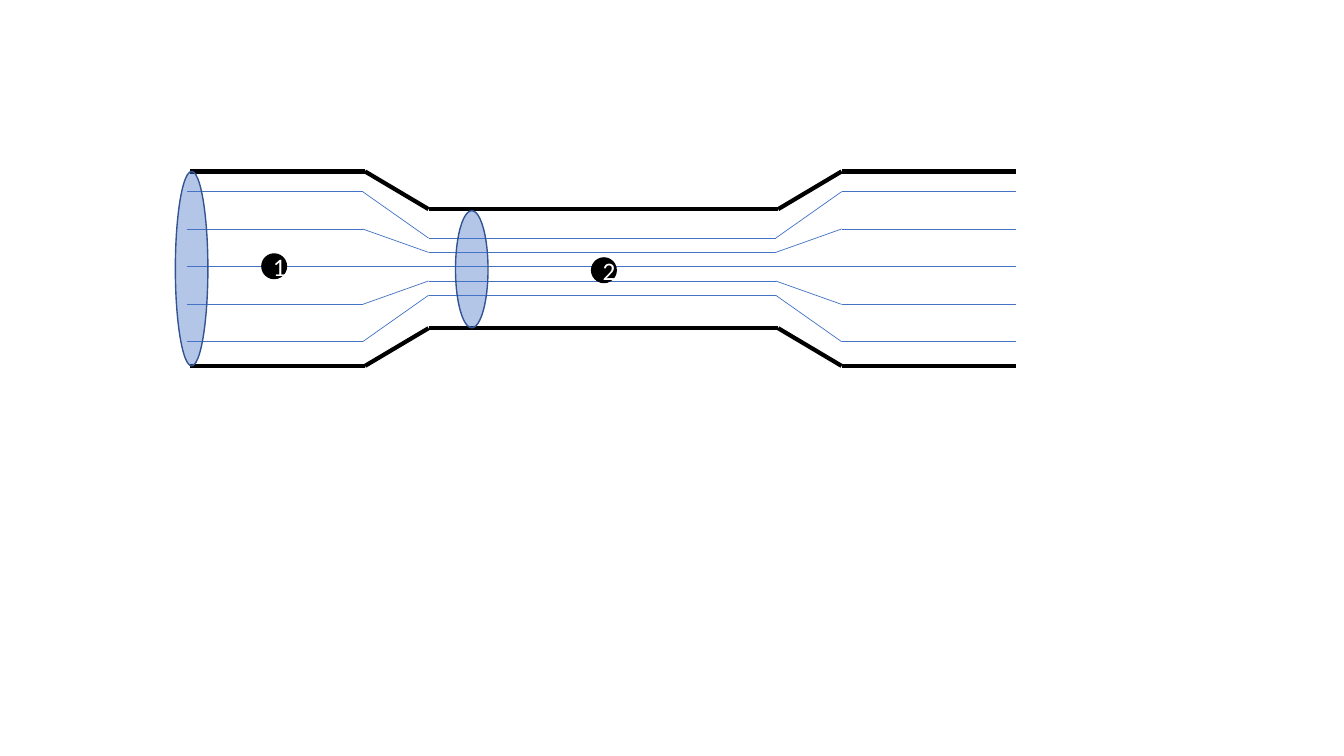
from itertools import pairwise

from lxml import etree
from pptx import Presentation
from pptx import util as u
from pptx.dml.color import RGBColor
from pptx.enum import shapes, text
from pptx.oxml.ns import qn

HUES = {"wall": "000000", "flow": "4472C4", "rim": "325491", "dot": "000000", "label": "FFFFFF"}


def hue(name):
    """Return the named colour."""
    return RGBColor.from_string(HUES[name])


def trace(slide, points, name, width):
    """Join the points, given in centimetres, with straight lines."""
    for start, end in pairwise(points):
        line = slide.shapes.add_connector(
            shapes.MSO_CONNECTOR.STRAIGHT, *(u.Cm(v) for v in (*start, *end)))
        line.line.color.rgb = hue(name)
        line.line.width = u.Pt(width)
        etree.SubElement(line._element.spPr, qn("a:effectLst"))


def oval(slide, left, top, width, height, fill, rim):
    """Add an ellipse, measured in centimetres."""
    shape = slide.shapes.add_shape(
        shapes.MSO_SHAPE.OVAL, *(u.Cm(v) for v in (left, top, width, height)))
    shape.shadow.inherit = False
    shape.fill.solid()
    shape.fill.fore_color.rgb = hue(fill)
    shape.line.color.rgb = hue(rim)
    shape.line.width = u.Pt(1)
    return shape


def disc(slide, left, top, height):
    """Add a see-through cross-section of the pipe."""
    shape = oval(slide, left, top, 0.82, height, "flow", "rim")
    tint = shape._element.spPr.find(qn("a:solidFill"))[0]
    etree.SubElement(tint, qn("a:alpha"), val="40000")


def mark(slide, left, top, label):
    """Add a numbered point."""
    frame = oval(slide, left, top, 0.62, 0.62, "dot", "dot").text_frame
    frame.vertical_anchor = text.MSO_ANCHOR.MIDDLE
    para = frame.paragraphs[0]
    para.text = label
    para.alignment = text.PP_ALIGN.CENTER
    para.font.size = u.Pt(18)
    para.font.name = "Calibri"
    para.font.color.rgb = hue("label")


def pipe(slide, left, top, width, height):
    """Draw a narrowing pipe with its streamlines, sections and points."""
    def course(mid, wide, slim, start, bend, neck):
        xs = (start, bend, neck, width - bend, width - neck)
        xs = (start, bend, neck, width - neck - (neck - 6) - (4.4 - bend), width - 4.4, width)
        ys = (wide, wide, slim, slim, wide, wide)
        return [(left + x, top + mid + y) for x, y in zip(xs, ys)]

    for side in (-1, 1):
        for wide, slim in ((1.89, 0.72), (0.95, 0.36)):
            trace(slide, course(2.4, side * wide, side * slim, -0.08, 4.34, 6), "flow", 0.5)
        trace(slide, course(height / 2, side * height / 2, side * 1.5, 0, 4.4, 6), "wall", 3)
    trace(slide, [(left - 0.08, top + 2.4), (left + width, top + 2.4)], "flow", 0.5)

    mark(slide, left + 1.8, top + 2.08, "1")
    mark(slide, left + 10.11, top + 2.18, "2")
    disc(slide, left - 0.38, top, height)
    disc(slide, left + 6.68, top + 0.99, 2.95)


def main():
    """Build and save the slide."""
    deck = Presentation()
    deck.slide_width, deck.slide_height = u.Cm(33.87), u.Cm(19.05)
    slide = deck.slides.add_slide(deck.slide_layouts[6])
    pipe(slide, 4.8, 4.32, 20.81, 4.9)
    deck.save("out.pptx")


if __name__ == "__main__":
    main()
